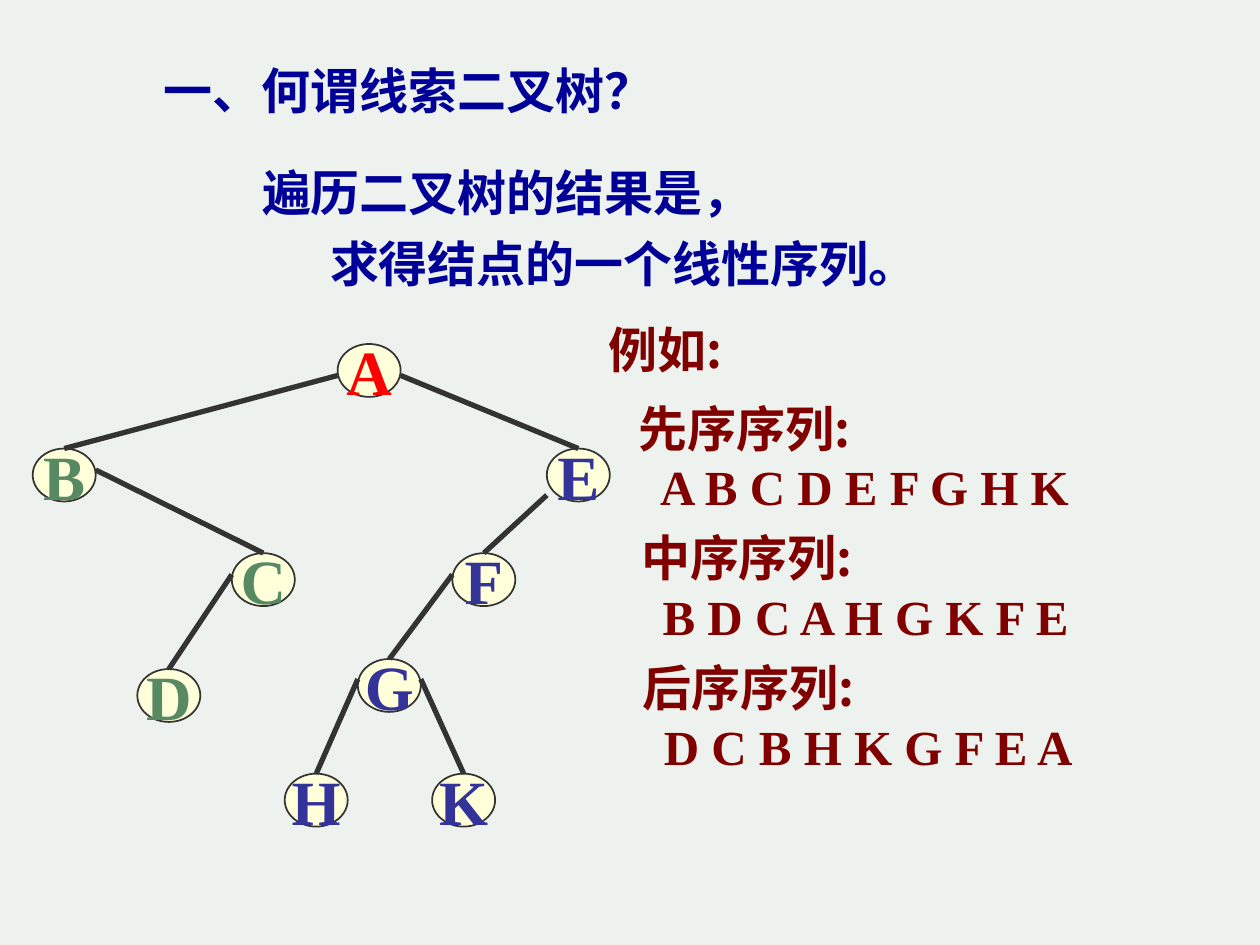
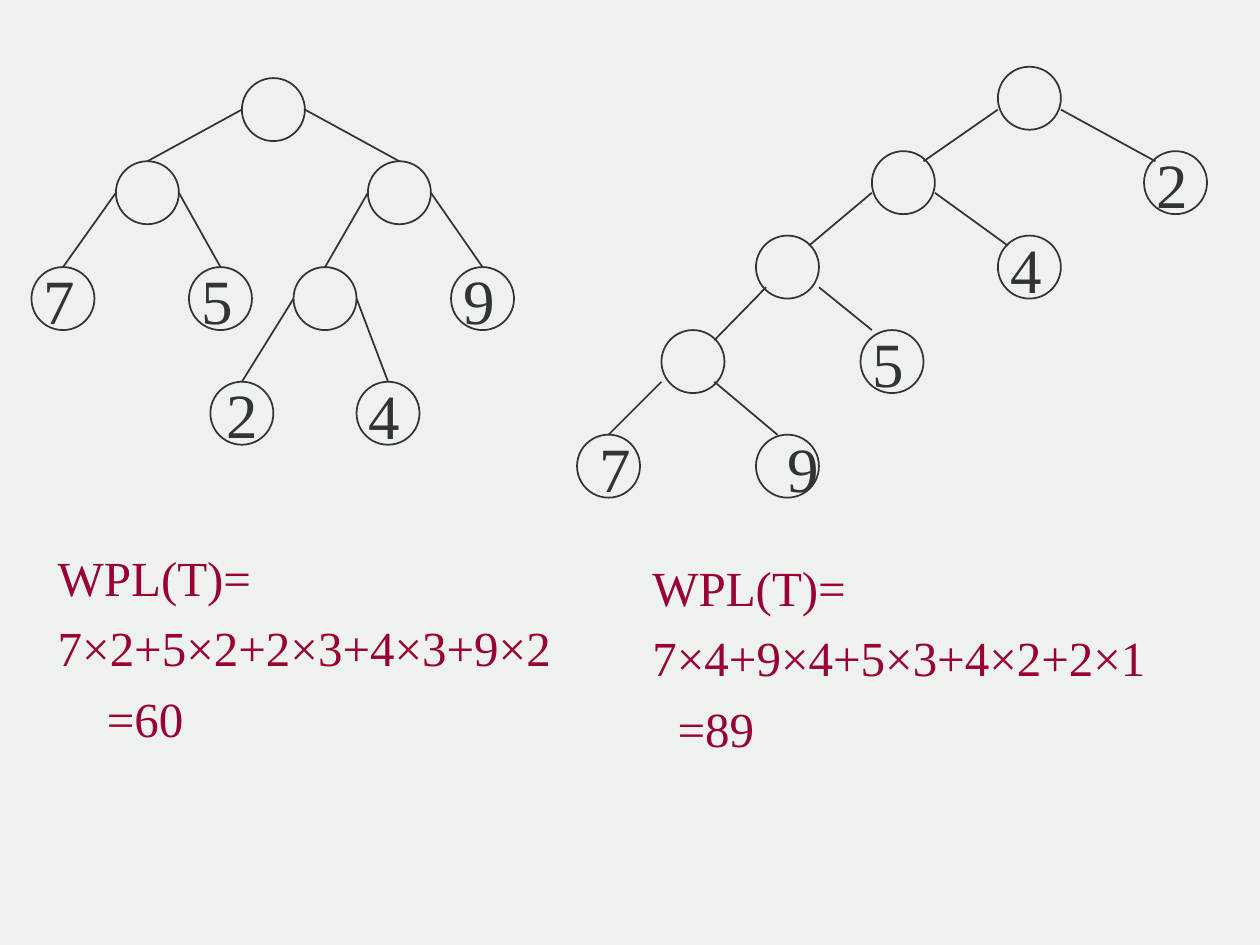
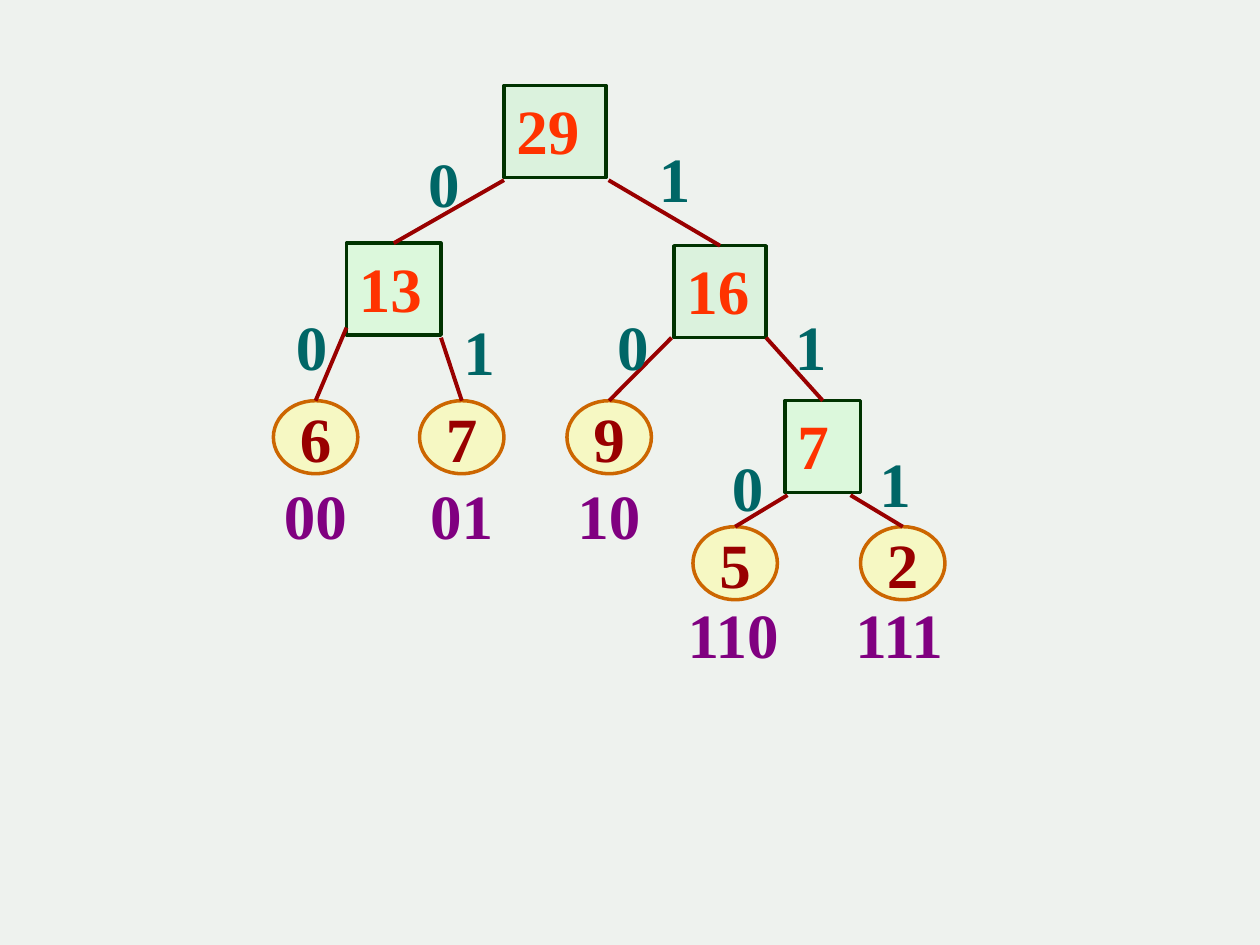
import lxml.etree
import pptx
import pptx.dml.color
import pptx.enum.shapes
import pptx.enum.text
import pptx.oxml.ns
import pptx.util

LATIN, CHINESE = "Times New Roman", "Noto Sans CJK SC"
PAPER, INK, NAVY, MAROON = "EEF2EE", "333333", "000099", "800000"
CREAM, RED, GREEN, INDIGO = "FFFFD9", "FF0000", "578963", "333399"
CRIMSON, BRICK, AMBER, YELLOW = "990033", "990000", "CC6600", "FFFF99"
FOREST, MINT, SAGE, ORANGE = "003300", "CCFFCC", "CAF2CE", "FF3300"
TEAL, PURPLE = "006666", "800080"

OVAL = pptx.enum.shapes.MSO_SHAPE.OVAL
SQUARE = pptx.enum.shapes.MSO_SHAPE.RECTANGLE
ALIGN = pptx.enum.text.PP_ALIGN
ANCHOR = pptx.enum.text.MSO_ANCHOR
inches, points = pptx.util.Inches, pptx.util.Pt
hue = pptx.dml.color.RGBColor.from_string
qn = pptx.oxml.ns.qn


def place(slide, at, text="", kind="text", color=INK, size=36, bold=False, spacing=1.0,
          inset=0.1, fill=None, alpha=100, outline=INK, weight=1):
    box = [inches(length) for length in at]
    if kind == "title":
        item = slide.shapes.title
        item.left, item.top, item.width, item.height = box
    elif kind == "text":
        item = slide.shapes.add_textbox(*box)
    else:
        item = slide.shapes.add_shape(kind, *box)
        item.shadow.inherit = False
        item.line.color.rgb = hue(outline)
        item.line.width = points(weight)
        if fill:
            item.fill.solid()
            item.fill.fore_color.rgb = hue(fill)
            if alpha < 100:
                tint = item.fill._xPr.find(".//" + qn("a:srgbClr"))
                lxml.etree.SubElement(tint, qn("a:alpha"), val=str(alpha * 1000))
        else:
            item.fill.background()
    if not text:
        return item
    frame = item.text_frame
    frame.auto_size = pptx.enum.text.MSO_AUTO_SIZE.NONE
    frame.word_wrap = kind != OVAL
    frame.vertical_anchor = ANCHOR.MIDDLE if kind == OVAL else ANCHOR.TOP
    frame.margin_left = inches(inset)
    frame.margin_right = inches(inset if kind == OVAL else 0)
    lines = [(text, 0, LATIN)] if isinstance(text, str) else text
    for number, (words, indent, font) in enumerate(lines):
        paragraph = frame.add_paragraph() if number else frame.paragraphs[0]
        properties = paragraph._p.get_or_add_pPr()
        properties.set("marL", str(inches(indent)))
        properties.set("indent", "0")
        paragraph.alignment = ALIGN.CENTER if kind == OVAL else ALIGN.LEFT
        paragraph.line_spacing = spacing
        run = paragraph.add_run()
        run.text = words
        run.font.name, run.font.size, run.font.bold = font, points(size), bold
        run.font.color.rgb = hue(color)
        lxml.etree.SubElement(run._r.get_or_add_rPr(), qn("a:ea"), typeface=CHINESE)
    return item


def branch(slide, start, end, color=INK, weight=1):
    line = slide.shapes.add_connector(pptx.enum.shapes.MSO_CONNECTOR.STRAIGHT,
                                      *[inches(length) for length in (*start, *end)])
    line.line.color.rgb = hue(color)
    line.line.width = points(weight)
    lxml.etree.SubElement(line._element.spPr, qn("a:effectLst"))
    return line


deck = pptx.Presentation()
deck.slide_width, deck.slide_height = inches(10), inches(7.5)
deck.slide_master.background.fill.solid()
deck.slide_master.background.fill.fore_color.rgb = hue(PAPER)
title_only, blank = deck.slide_layouts[5], deck.slide_layouts[6]

traversal = deck.slides.add_slide(title_only)
place(traversal, (0.2, 0.43, 5.35, 0.57), "一、何谓线索二叉树？", "title",
      color=NAVY, size=28, bold=True, inset=1.1)
place(traversal, (0.98, 1.15, 6.77, 1.22),
      [("遍历二叉树的结果是，", 0, LATIN), ("求得结点的一个线性序列。", 0.54, LATIN)],
      color=NAVY, size=28, bold=True, spacing=1.2, inset=1.1)

letters = {
    "A": (2.68, 2.73, RED), "B": (0.26, 3.56, GREEN), "C": (1.84, 4.39, GREEN),
    "D": (1.09, 5.31, GREEN), "E": (4.34, 3.56, INDIGO), "F": (3.59, 4.39, INDIGO),
    "G": (2.84, 5.23, INDIGO), "H": (2.26, 6.14, INDIGO), "K": (3.43, 6.14, INDIGO),
}
for letter, (left, top, color) in letters.items():
    place(traversal, (left, top, 0.5, 0.42), letter, OVAL, color=color, bold=True, fill=CREAM)
for parent, child, side, drop in [
    ("A", "B", 0, 0.25), ("B", "C", 0.5, 0.17), ("C", "D", 0, 0.17), ("A", "E", 0.5, 0.25),
    ("E", "F", 0, 0.37), ("F", "G", 0, 0.17), ("G", "H", 0, 0.16), ("G", "K", 0.5, 0.16),
]:
    branch(traversal, (letters[parent][0] + side, letters[parent][1] + drop),
           (letters[child][0] + 0.25, letters[child][1]), weight=3)

place(traversal, (4.73, 2.49, 1.18, 0.57), [("例如:", 0, CHINESE)],
      color=MAROON, size=28, bold=True)
for row, (left, order, sequence) in enumerate([
    (4.97, "先序序列:", "A B C D E F G H K"),
    (4.99, "中序序列:", "B D C A H G K F E"),
    (5, "后序序列:", "D C B H K G F E A"),
]):
    place(traversal, (left, 3.11 + row * 1.03, 3.88, 1.03),
          [(order, 0, CHINESE), (sequence, 0.17, LATIN)], color=MAROON, size=28, bold=True)

path_lengths = deck.slides.add_slide(blank)
LEFT_SIDE, RIGHT_SIDE, TOP = (0, 0.25), (0.5, 0.25), (0.25, 0)
balanced = {
    "root": (1.92, 0.62), "l": (0.92, 1.28), "r": (2.92, 1.28), "ll": (0.25, 2.12),
    "lr": (1.5, 2.12), "rl": (2.33, 2.12), "rr": (3.58, 2.12),
    "rll": (1.67, 3.03), "rlr": (2.83, 3.03),
}
balanced_edges = [
    (parent, child, LEFT_SIDE if child.endswith("l") else RIGHT_SIDE, TOP)
    for parent, child in [("root", "l"), ("root", "r"), ("l", "ll"), ("l", "lr"),
                          ("r", "rl"), ("r", "rr"), ("rl", "rll"), ("rl", "rlr")]
]
skewed = {
    "root": (7.92, 0.53), "l": (6.92, 1.2), "r": (9.08, 1.2), "ll": (6, 1.87),
    "lr": (7.92, 1.87), "lll": (5.25, 2.62), "llr": (6.83, 2.62),
    "llll": (4.58, 3.45), "lllr": (6, 3.45),
}
skewed_edges = [
    ("root", "l", (0, 0.34), (0.41, 0.08)), ("root", "r", (0.5, 0.34), (0.09, 0.08)),
    ("l", "ll", (0, 0.33), (0.42, 0.08)), ("l", "lr", (0.5, 0.33), (0.08, 0.08)),
    ("ll", "lll", (0.08, 0.41), (0.42, 0.08)), ("ll", "llr", (0.5, 0.41), (0.09, 0)),
    ("lll", "llll", (0, 0.41), TOP), ("lll", "lllr", (0.42, 0.41), (0.17, 0)),
]
balanced_weights = [("ll", "7", 0), ("lr", "5", 0), ("rlr", "4", 0), ("rr", "9", 0)]
skewed_weights = [("r", "2", 0), ("lr", "4", 0), ("llr", "5", 0),
                  ("llll", "7", 0.08), ("lllr", "9", 0.15)]
for tree, edges, weights in [(balanced, balanced_edges, balanced_weights),
                             (skewed, skewed_edges, skewed_weights)]:
    for name, (left, top) in tree.items():
        centred = "2" if tree is balanced and name == "rll" else ""
        place(path_lengths, (left, top, 0.5, 0.5), centred, OVAL)
    for parent, child, start, end in edges:
        branch(path_lengths, [a + b for a, b in zip(tree[parent], start)],
               [a + b for a, b in zip(tree[child], end)])
    for name, leaf_weight, shift in weights:
        left, top = tree[name]
        place(path_lengths, (left + shift, top - 0.09, 0.45, 0.7), leaf_weight)

for at, products, total, indent in [
    ((0.36, 4.2, 4.28, 1.78), "7×2+5×2+2×3+4×3+9×2", "=60", 0.39),
    ((5.08, 4.28, 4.4, 1.78), "7×4+9×4+5×3+4×2+2×1", "=89", 0.2),
]:
    place(path_lengths, at, [("WPL(T)=", 0, LATIN), (products, 0, LATIN),
                             (total, indent, LATIN)], color=CRIMSON, size=28, spacing=1.2)

huffman = deck.slides.add_slide(blank)
nodes = {}
for code, total, left, top, width, fill in [
    ("", "29", 4, 0.68, 0.81, SAGE), ("0", "13", 2.75, 1.93, 0.75, MINT),
    ("1", "16", 5.35, 1.95, 0.73, SAGE), ("11", "7", 6.23, 3.18, 0.6, MINT),
]:
    nodes[code] = place(huffman, (left, top, width, 0.73), total, SQUARE, color=ORANGE,
                        bold=True, fill=fill, alpha=50, outline=FOREST, weight=2)
for code, leaf_weight, left, top, code_top in [
    ("00", "6", 2.17, 3.18, 3.73), ("01", "7", 3.33, 3.18, 3.73), ("10", "9", 4.5, 3.18, 3.73),
    ("110", "5", 5.5, 4.18, 4.68), ("111", "2", 6.83, 4.18, 4.68),
]:
    nodes[code] = place(huffman, (left, top, 0.67, 0.58), leaf_weight, OVAL, color=BRICK,
                        bold=True, fill=YELLOW, alpha=50, outline=AMBER, weight=2)
    code_width = 0.2 + 0.25 * len(code)
    place(huffman, (left + (0.67 - code_width) / 2, code_top, code_width, 0.7), code,
          color=PURPLE, bold=True)
for code, start, bit_left, bit_top in [
    ("0", (4, 1.43), 3.3, 1.1), ("1", (4.83, 1.43), 5.13, 1.06),
    ("00", (2.75, 2.6), 2.25, 2.39), ("01", (3.5, 2.68), 3.58, 2.43),
    ("10", (5.33, 2.68), 4.8, 2.39), ("11", (6.08, 2.68), 6.21, 2.39),
    ("110", (6.25, 3.93), 5.71, 3.51), ("111", (6.75, 3.93), 6.88, 3.48),
]:
    child = nodes[code]
    edge = branch(huffman, start, ((child.left + child.width / 2) / inches(1),
                                   child.top / inches(1)), BRICK, 2.25)
    if child.auto_shape_type == SQUARE:
        edge.end_connect(child, 0)
    place(huffman, (bit_left, bit_top, 0.45, 0.7), code[-1], color=TEAL, bold=True)

deck.save("out.pptx")
